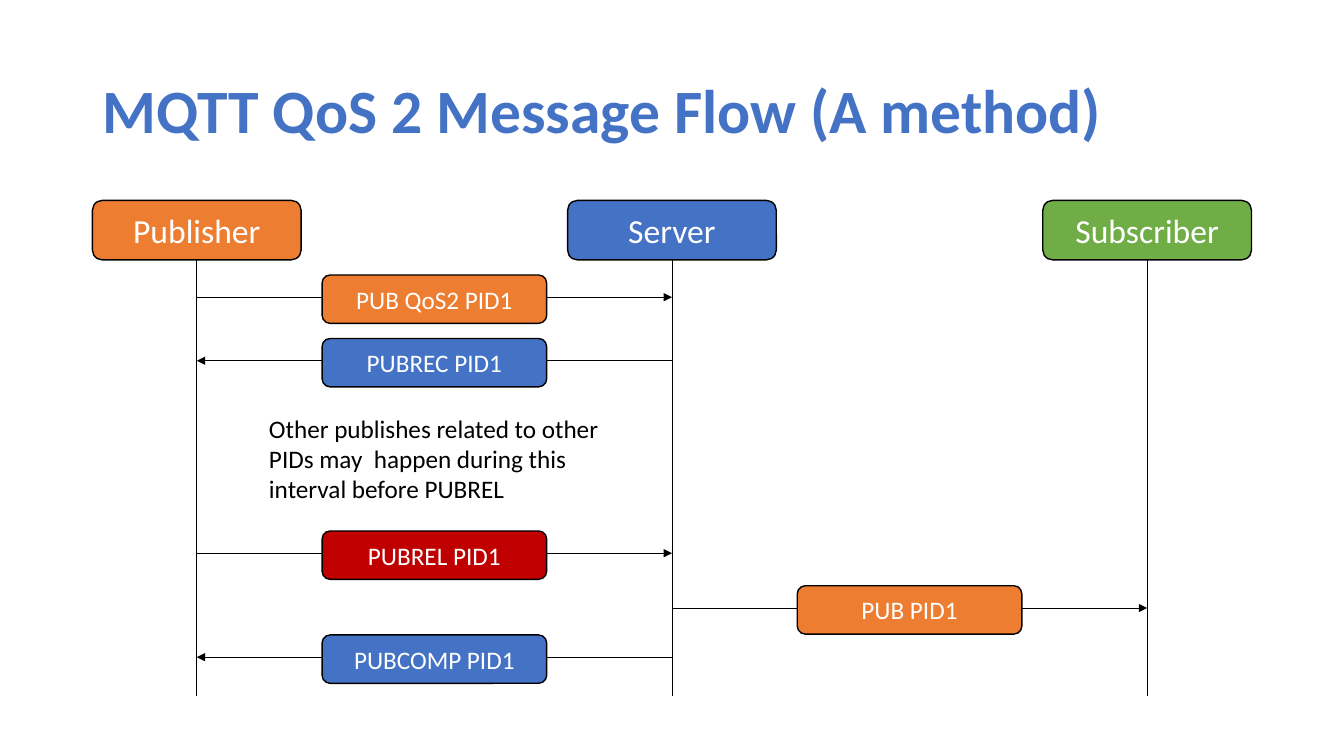
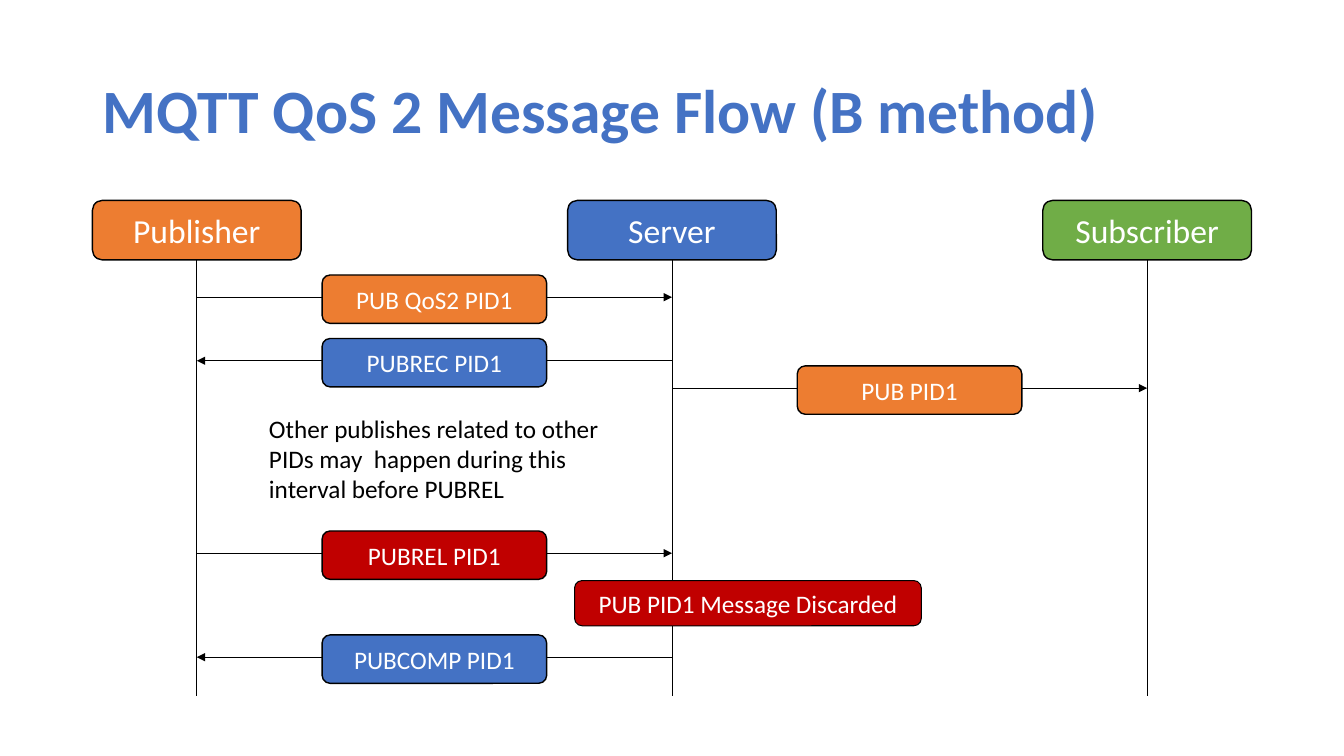
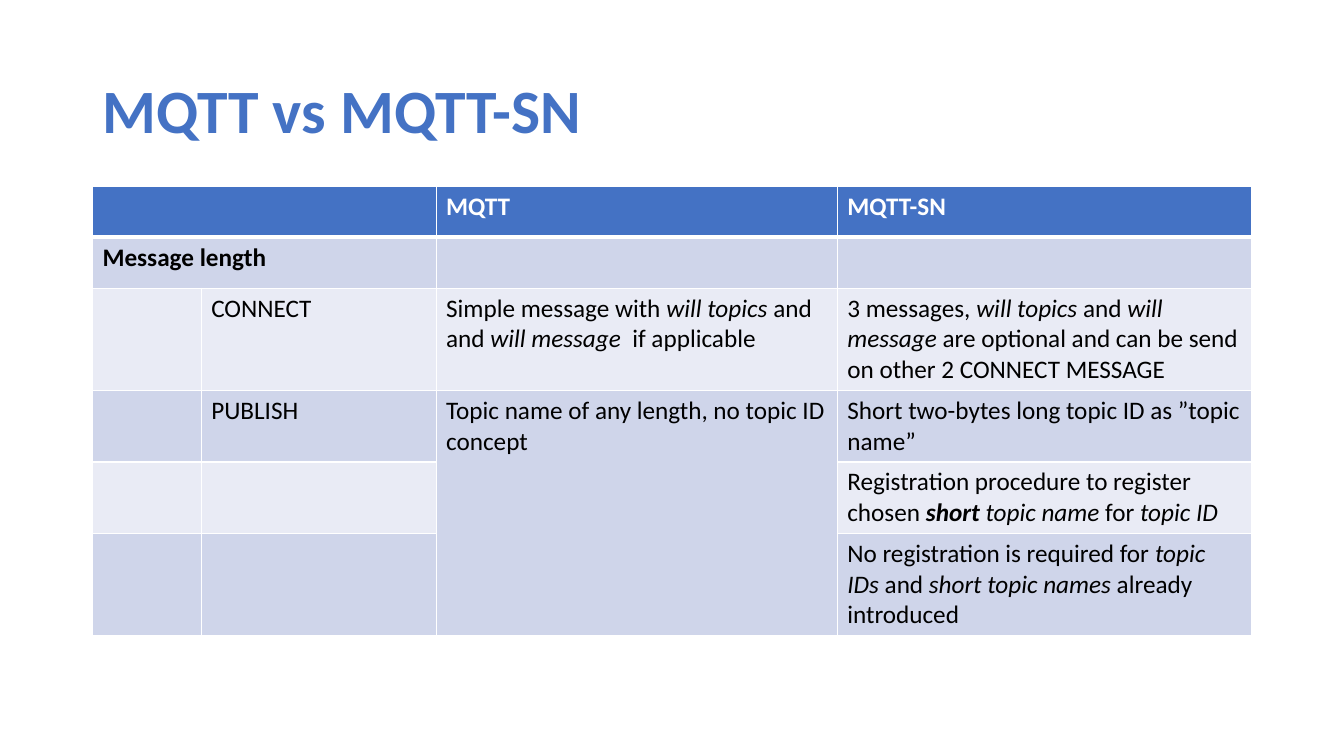
from dataclasses import dataclass
from typing import NamedTuple

from pptx import Presentation
from pptx import util as u
from pptx.dml.color import RGBColor
from pptx.enum import shapes, text
from pptx.oxml import ns, xmlchemy as xml

Cm, Pt = u.Cm, u.Pt


# Theme: colours, type sizes and page margins
@dataclass(frozen=True)
class Theme:
    face: str = "Calibri"
    blue: RGBColor = RGBColor(0x44, 0x72, 0xC4)
    orange: RGBColor = RGBColor(0xED, 0x7D, 0x31)
    green: RGBColor = RGBColor(0x70, 0xAD, 0x47)
    red: RGBColor = RGBColor(0xC0, 0x00, 0x00)
    black: RGBColor = RGBColor(0, 0, 0)
    white: RGBColor = RGBColor(0xFF, 0xFF, 0xFF)
    dark: RGBColor = RGBColor(0xCF, 0xD5, 0xEA)
    pale: RGBColor = RGBColor(0xE9, 0xEB, 0xF5)
    title: float = 44
    head: float = 24
    body: float = 18
    left: float = 2.33
    width: float = 29.21


T = Theme()


class Box(NamedTuple):
    left: float
    top: float
    width: float
    height: float

    def cm(self) -> tuple:
        return tuple(Cm(side) for side in self)


class Bit(NamedTuple):
    words: str
    slant: bool = True
    bold: bool = False


class Actor(NamedTuple):
    name: str
    fill: RGBColor


class Message(NamedTuple):
    name: str
    fill: RGBColor
    start: int
    end: int
    y: float


# Sequence chart measures, in cm
ACTORS = (Actor("Publisher", T.orange), Actor("Server", T.blue),
          Actor("Subscriber", T.green))
HEAD = Box(T.left, 5.05, 5.26, 1.5)
STEP = (T.width - HEAD.width) / (len(ACTORS) - 1)
FOOT = 17.55
TAG = Box(0, -0.56, 5.66, 1.22)  # top is relative to the arrow

SHARED = (
    Message("PUB QoS2 PID1", T.orange, 0, 1, 7.49),
    Message("PUBREC PID1", T.blue, 1, 0, 9.09),
    Message("PUBREL PID1", T.red, 0, 1, 13.94),
    Message("PUBCOMP PID1", T.blue, 1, 0, 16.56),
)
NOTE = ("Other publishes related to other PIDs may  happen during this "
        "interval before PUBREL")

# Table content: a cell is plain text or a list of text and styled bits
COLS = (2.74, 5.92, 10.11, 10.44)
ROWS = (1.28, 1.28, 2.58, 1.8, 1.8, 2.58)
CELLS = (
    ("", "", "MQTT", "MQTT-SN"),
    ("Message length", "", "", ""),
    ("", "CONNECT",
     ["Simple message with ", Bit("will topics "), "and and ",
      Bit("will message "), " if applicable"],
     ["3 messages, ", Bit("will topics"), " and ", Bit("will message "),
      "are optional and can be send on other 2 CONNECT MESSAGE"]),
    ("", "PUBLISH", "Topic name of any length, no topic ID concept",
     "Short two-bytes long topic ID as ”topic name”"),
    ("", "", "",
     ["Registration procedure to register chosen ",
      Bit("short ", bold=True), Bit("topic name "), "for ",
      Bit("topic ID")]),
    ("", "", "",
     ["No registration is required for ", Bit("topic IDs "), "and ",
      Bit("short topic names "), "already introduced"]),
)
SPANS = ((0, 0, 0, 1), (1, 0, 1, 1), (3, 2, 5, 2))


# Text
def write(frame, words: str | list, size: float, color: RGBColor,
          bold: bool = False, align=None):
    par = frame.paragraphs[0]
    par.alignment = align
    for part in [words] if isinstance(words, str) else words:
        bit = part if isinstance(part, Bit) else Bit(part, False)
        if bit.words:
            run = par.add_run()
            run.text = bit.words
            run.font.italic = bit.slant or None
            run.font.bold = bit.bold or bold
    for font in (par.font, *(run.font for run in par.runs)):
        font.name, font.size = T.face, Pt(size)
        font.color.rgb = color
    return par


def add_text(slide, box: Box, words: str, size: float, color: RGBColor,
             bold: bool = False, anchor=text.MSO_ANCHOR.TOP):
    frame = slide.shapes.add_textbox(*box.cm()).text_frame
    frame.word_wrap = True
    frame.vertical_anchor = anchor
    return write(frame, words, size, color, bold)


# Shapes and lines
def add_tag(slide, box: Box, words: str, fill: RGBColor,
            size: float = T.body, edge: float = 1):
    tag = slide.shapes.add_shape(
        shapes.MSO_SHAPE.ROUNDED_RECTANGLE, *box.cm())
    tag.shadow.inherit = False
    tag.fill.solid()
    tag.fill.fore_color.rgb = fill
    tag.line.color.rgb = T.black
    tag.line.width = Pt(edge)
    tag.text_frame.vertical_anchor = text.MSO_ANCHOR.MIDDLE
    write(tag.text_frame, words, size, T.white, align=text.PP_ALIGN.CENTER)
    return tag


def add_line(slide, x: float, y: float, to_x: float, to_y: float,
             arrow: bool = False):
    line = slide.shapes.add_connector(
        shapes.MSO_CONNECTOR.STRAIGHT, Cm(x), Cm(y), Cm(to_x), Cm(to_y))
    line.line.color.rgb = T.black
    line.line.width = Pt(0.5)
    props = line.element.spPr
    if arrow:
        tip = xml.OxmlElement("a:tailEnd")
        tip.set("type", "triangle")
        props.find(ns.qn("a:ln")).append(tip)
    props.append(xml.OxmlElement("a:effectLst"))
    return line


# Sequence chart
def axis(index: int) -> float:
    return HEAD.left + HEAD.width / 2 + index * STEP


def add_actor(slide, index: int, actor: Actor) -> None:
    box = HEAD._replace(left=HEAD.left + index * STEP)
    head = add_tag(slide, box, actor.name, actor.fill, T.head)
    x = axis(index)
    line = add_line(slide, x, box.top + box.height, x, FOOT)
    line.begin_connect(head, 2)


def add_message(slide, msg: Message) -> None:
    x, to_x = axis(msg.start), axis(msg.end)
    add_line(slide, x, msg.y, to_x, msg.y, arrow=True)
    box = TAG._replace(left=(x + to_x - TAG.width) / 2, top=msg.y + TAG.top)
    add_tag(slide, box, msg.name, msg.fill)


def add_flow(slide, pub_y: float) -> None:
    for index, actor in enumerate(ACTORS):
        add_actor(slide, index, actor)
    for msg in (*SHARED, Message("PUB PID1", T.orange, 1, 2, pub_y)):
        add_message(slide, msg)
    add_text(slide, Box(6.53, 10.29, 8.89, 2.36), NOTE, T.body, T.black)


# Table
def add_edge(cell, side: str, width: float) -> None:
    edge = xml.OxmlElement(f"a:ln{side}")
    edge.set("w", str(Pt(width)))
    fill = xml.OxmlElement("a:solidFill")
    color = xml.OxmlElement("a:srgbClr")
    color.set("val", str(T.white))
    fill.append(color)
    edge.append(fill)
    cell._tc.get_or_add_tcPr().append(edge)


def add_grid(slide) -> None:
    box = Box(T.left, 4.7, sum(COLS), sum(ROWS))
    grid = slide.shapes.add_table(len(ROWS), len(COLS), *box.cm()).table
    grid.first_row = grid.horz_banding = False
    for col, width in zip(grid.columns, COLS):
        col.width = Cm(width)
    for row, height in zip(grid.rows, ROWS):
        row.height = Cm(height)
    for top, left, low, right in SPANS:
        grid.cell(top, left).merge(grid.cell(low, right))
    for r, row in enumerate(CELLS):
        for c, words in enumerate(row):
            cell = grid.cell(r, c)
            for side in "LRTB":
                thick = (r, side) in ((0, "B"), (1, "T"))
                add_edge(cell, side, 3 if thick else 1)
            cell.fill.solid()
            band = T.dark if r % 2 else T.pale
            cell.fill.fore_color.rgb = band if r else T.blue
            write(cell.text_frame, words, T.body,
                  T.black if r else T.white, bold=r < 2)


# Slides
def add_slide(deck, title: str):
    slide = deck.slides.add_slide(deck.slide_layouts[6])
    par = add_text(slide, Box(T.left, 1.01, T.width, 3.68), title, T.title,
                   T.blue, True, text.MSO_ANCHOR.MIDDLE)
    par.line_spacing = 0.9
    return slide


def main() -> None:
    deck = Presentation()
    deck.slide_width, deck.slide_height = Cm(33.87), Cm(19.05)

    add_flow(add_slide(deck, "MQTT QoS 2 Message Flow (A method)"), 15.32)

    slide = add_slide(deck, "MQTT QoS 2 Message Flow (B method)")
    add_flow(slide, 9.78)
    add_tag(slide, Box(14.48, 14.63, 8.74, 1.14),
            "PUB PID1 Message Discarded", T.red, edge=0.75)

    add_grid(add_slide(deck, "MQTT vs MQTT-SN"))
    deck.save("out.pptx")


if __name__ == "__main__":
    main()
